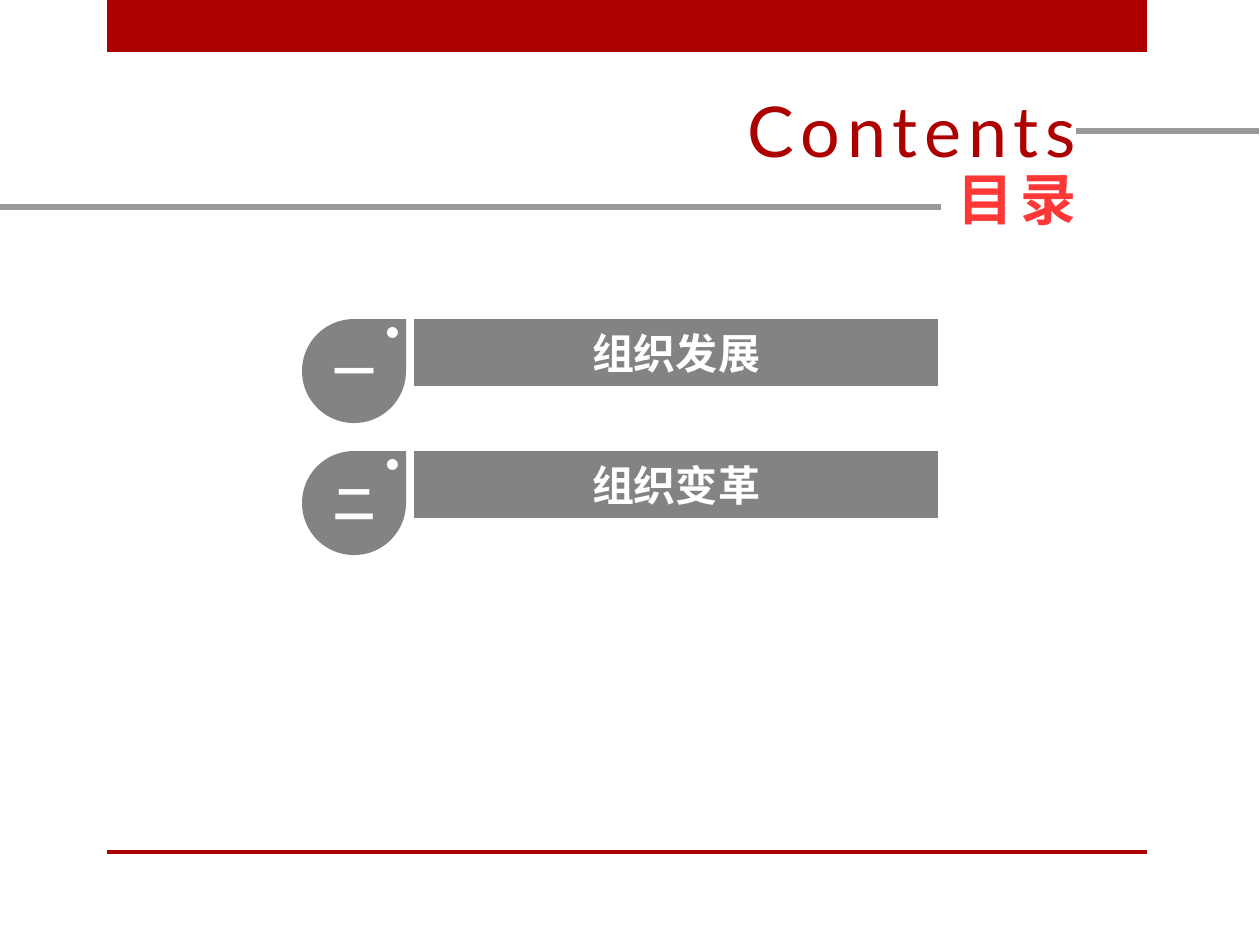
from pptx import Presentation
from pptx.dml.color import RGBColor
from pptx.enum.shapes import MSO_CONNECTOR, MSO_SHAPE
from pptx.enum.text import MSO_ANCHOR, PP_ALIGN
from pptx.oxml.ns import qn
from pptx.util import Pt
from lxml.etree import SubElement

PX = 914400 / 126
COLORS = {"red": "AD0101", "bright": "FE3737", "gray": "838383",
          "rule": "999999", "white": "FFFFFF"}


def add_form(kind, box, color):
    shape = slide.shapes.add_shape(kind, *[round(n * PX) for n in box])
    shape.shadow.inherit = False
    shape.fill.solid()
    shape.fill.fore_color.rgb = RGBColor.from_string(COLORS[color])
    shape.line.fill.background()
    return shape


def add_text(para, text, color, align, look):
    para.alignment = align
    run = para.add_run()
    run.text = text
    for key, value in look.items():
        setattr(run.font, key, value)
    run.font.color.rgb = RGBColor.from_string(COLORS[color])
    SubElement(run.font._element, qn("a:ea")).set("typeface", "Noto Sans CJK JP")
    return run


deck = Presentation()
deck.slide_width, deck.slide_height = round(1260 * PX), round(945 * PX)
slide = deck.slides.add_slide(deck.slide_layouts[6])

# Top band and bottom rule
for top, high in ((0, 52), (850, 4)):
    add_form(MSO_SHAPE.RECTANGLE, (107, top, 1040, high), "red")

# Numbered entries
rows = [("一", "组织发展"), ("二", "组织变革")]
for i, (mark, title) in enumerate(rows):
    top = 319 + i * 132
    drop = add_form(MSO_SHAPE.TEAR, (302, top, 104, 104), "gray")
    add_form(MSO_SHAPE.OVAL, (387, top + 8, 11, 11), "white")
    bar = add_form(MSO_SHAPE.RECTANGLE, (414, top, 524, 67), "gray")
    for shape, text, font in ((drop, mark, "Noto Sans CJK JP"),
                              (bar, title, "Times New Roman")):
        frame = shape.text_frame
        frame.margin_left = frame.margin_right = 0
        frame.margin_top = frame.margin_bottom = 0
        frame.vertical_anchor = MSO_ANCHOR.MIDDLE
        add_text(frame.paragraphs[0], text, "white", PP_ALIGN.CENTER,
                 {"name": font, "size": Pt(24), "bold": True})

# Heading
head = slide.shapes.add_textbox(*[round(n * PX) for n in (631, 92, 458, 146)])
frame = head.text_frame
frame.word_wrap = True
frame.vertical_anchor = MSO_ANCHOR.MIDDLE
lines = [("Contents", "red", {"name": "Lato", "size": Pt(40)}),
         ("目录", "bright", {"name": "Arial", "size": Pt(32), "bold": True})]
for i, (text, color, look) in enumerate(lines):
    para = frame.add_paragraph() if i else frame.paragraphs[0]
    para.line_spacing = 0.9
    run = add_text(para, text, color, PP_ALIGN.RIGHT, look)
    run.font._element.set("spc", "400")

# Heading rules
for left, right, y in ((1076, 1259, 131), (0, 941, 207)):
    rule = slide.shapes.add_connector(
        MSO_CONNECTOR.STRAIGHT, *[round(n * PX) for n in (left, y, right, y)])
    rule.line.width = Pt(3)
    rule.line.color.rgb = RGBColor.from_string(COLORS["rule"])
    SubElement(rule._element.spPr, qn("a:effectLst"))

deck.save("out.pptx")
